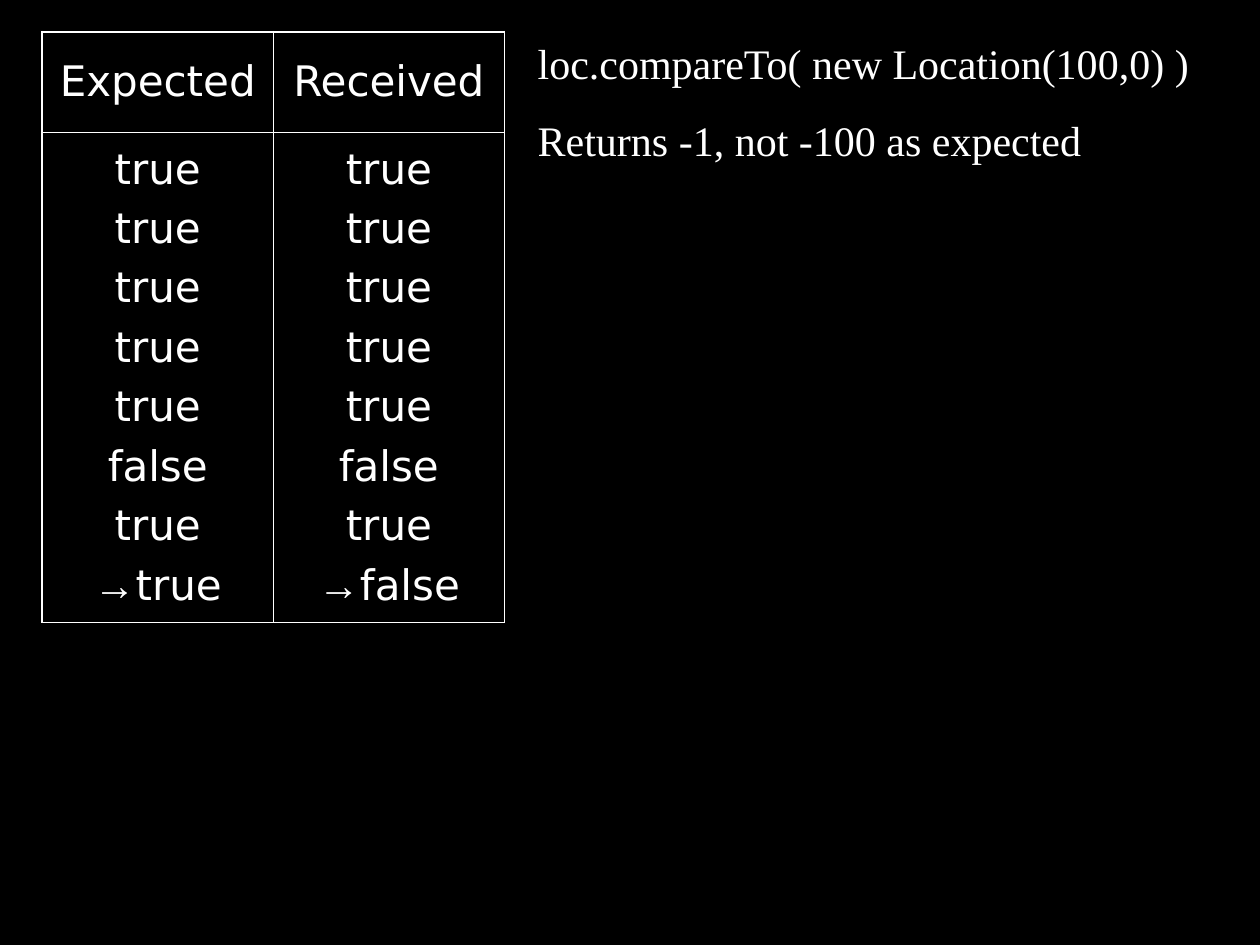
import pptx
import pptx.util
import pptx.dml.color
import pptx.enum.text
import pptx.oxml
import pptx.oxml.ns

Cm, Pt = pptx.util.Cm, pptx.util.Pt
BLACK = pptx.dml.color.RGBColor(0, 0, 0)
WHITE = pptx.dml.color.RGBColor(255, 255, 255)

ARROW = "→"
THICK, THIN = Pt(1.08), Pt(0.45)
CELL = {"alignment": pptx.enum.text.PP_ALIGN.CENTER, "space_before": Pt(6)}
NOTE = {"alignment": pptx.enum.text.PP_ALIGN.LEFT, "space_before": Pt(15)}

SAME = ["true"] * 5 + ["false", "true"]
ROWS = [
    [["Expected"], ["Received"]],
    [SAME + [ARROW + "true"], SAME + [ARROW + "false"]],
]
NOTES = ["loc.compareTo( new Location(100,0) )", "Returns -1, not -100 as expected"]


def put(item, form):
    for name, value in form.items():
        setattr(item, name, value)


def add_run(para, text, face):
    run = para.add_run()
    run.text = text
    put(run.font, {"name": face, "size": Pt(24)})
    run.font.color.rgb = WHITE


def write(frame, lines, form, face):
    for i, line in enumerate(lines):
        para = frame.add_paragraph() if i else frame.paragraphs[0]
        put(para, form)
        # A leading arrow marks the failed test and has its own font
        if line.startswith(ARROW):
            add_run(para, ARROW, "Arial")
            line = line.removeprefix(ARROW)
        add_run(para, line, face)


def add_edges(cell, widths):
    props = cell._tc.get_or_add_tcPr()
    for i, (side, width) in enumerate(widths.items()):
        edge = pptx.oxml.parse_xml(
            f'<a:ln{side} {pptx.oxml.ns.nsdecls("a")} w="{width}">'
            f'<a:solidFill><a:srgbClr val="{WHITE}"/></a:solidFill></a:ln{side}>'
        )
        props.insert(i, edge)


def add_grid(slide):
    frame = slide.shapes.add_table(2, 2, Cm(0.85), Cm(0.64), Cm(9.32), Cm(11.91))
    table = frame.table
    put(table, {"first_row": False, "horz_banding": False})
    for row, high in zip(table.rows, (2.03, 9.88)):
        row.height = Cm(high)
    for y, row in enumerate(ROWS):
        for x, lines in enumerate(row):
            cell = table.cell(y, x)
            cell.vertical_anchor = pptx.enum.text.MSO_ANCHOR.MIDDLE
            cell.fill.background()
            write(cell.text_frame, lines, CELL, "DejaVu Sans")
            # Only the line between the columns is thin
            add_edges(cell, {
                "L": THIN if x else THICK,
                "R": THICK if x else THIN,
                "T": THICK,
                "B": THICK,
            })


def add_notes(slide):
    box = slide.shapes.add_textbox(Cm(10.59), Cm(0.64), Cm(20.52), Cm(5.92))
    put(box.text_frame, {
        "word_wrap": True,
        "auto_size": pptx.enum.text.MSO_AUTO_SIZE.SHAPE_TO_FIT_TEXT,
    })
    write(box.text_frame, NOTES, NOTE, "Times New Roman")


def main():
    deck = pptx.Presentation()
    put(deck, {"slide_width": Cm(25.4), "slide_height": Cm(19.05)})
    slide = deck.slides.add_slide(deck.slide_layouts[6])

    # Black page
    fill = slide.background.fill
    fill.solid()
    fill.fore_color.rgb = BLACK

    # Test results and remarks
    add_grid(slide)
    add_notes(slide)
    deck.save("out.pptx")


if __name__ == "__main__":
    main()
